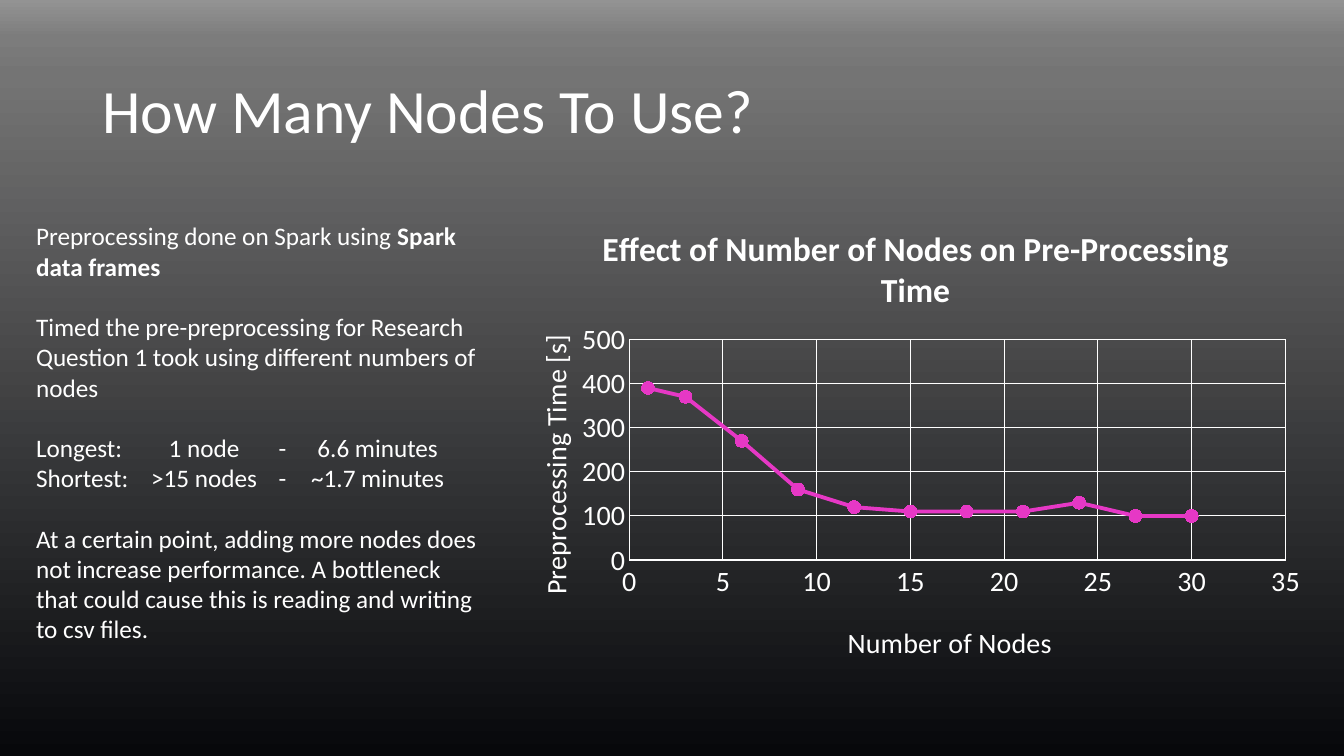
from copy import deepcopy
from lxml.etree import SubElement as Sub
from pptx import Presentation
from pptx.chart.data import XyChartData as Data
from pptx.dml.color import RGBColor as Rgb
from pptx.enum.chart import XL_CHART_TYPE as Kind, XL_MARKER_STYLE as Mark, XL_TICK_MARK as Tick
from pptx.enum.text import MSO_ANCHOR as Anchor
from pptx.oxml import parse_xml
from pptx.oxml.ns import nsdecls, qn
from pptx.util import Pt

FACE = "Calibri"
HUES = {"text": "FFFFFF", "line": "E638C5"}
FADE = [(0, "07080B"), (0.9, "747474"), (0.95, "7C7C7C"), (1, "939393")]
NODES = range(0, 31, 3)
TIMES = [390, 370, 270, 160, 120, 110, 110, 110, 130, 100, 100]
TABS = [120, 176, 244]
NOTES = [
    (0, [("Preprocessing done on Spark using ", False), ("Spark data frames", True)]),
    (21.6, [("Timed the pre-preprocessing for Research Question 1 took using different numbers of nodes", False)]),
    (21.6, [("Longest:\t1 node\t-\t6.6 minutes", False)]),
    (0, [("Shortest:\t>15 nodes\t-\t~1.7 minutes", False)]),
    (21.6, [("At a certain point, adding more nodes does not increase performance. "
             "A bottleneck that could cause this is reading and writing to csv files.", False)]),
]


def apply(item, **values):
    for name, value in values.items():
        setattr(item, name, value)


def style(font, size, bold=False):
    apply(font, name=FACE, size=Pt(size), bold=bold)
    font.color.rgb = Rgb.from_string(HUES["text"])


def stroke(line, hue, width):
    line.color.rgb = Rgb.from_string(HUES[hue])
    line.width = Pt(width)


def place(shape, box):
    apply(shape, **dict(zip(("left", "top", "width", "height"), map(Pt, box))))


def backdrop(slide):
    fill = slide.background.fill
    fill.gradient()
    fill.gradient_angle = 90
    stops = slide.element.find(".//" + qn("a:gsLst"))
    for _ in FADE[2:]:
        stops.append(deepcopy(stops[0]))
    for stop, (spot, hue) in zip(fill.gradient_stops, FADE):
        stop.position = spot
        stop.color.rgb = Rgb.from_string(hue)


def heading(slide, box):
    title = slide.shapes.title
    place(title, box)
    frame = title.text_frame
    frame.text = "How Many Nodes To Use?"
    frame.vertical_anchor = Anchor.MIDDLE
    para = frame.paragraphs[0]
    para.line_spacing = 0.9
    para.alignment = 1
    style(para.runs[0].font, 44)


def notes(slide, box):
    frame = slide.shapes.add_textbox(*map(Pt, box)).text_frame
    frame.word_wrap = True
    for num, (gap, parts) in enumerate(NOTES):
        para = frame.add_paragraph() if num else frame.paragraphs[0]
        para.space_before = Pt(gap)
        for words, bold in parts:
            run = para.add_run()
            run.text = words
            style(run.font, 18, bold)
        if "\t" in para.text:
            stops = Sub(para._p.get_or_add_pPr(), qn("a:tabLst"))
            for stop in TABS:
                Sub(stops, qn("a:tab"), pos=str(Pt(stop)), algn="ctr")


def layout(node, inner=False, **spots):
    old = node.find(qn("c:layout"))
    if old is not None:
        node.remove(old)
    part = '<c:layoutTarget val="inner"/>' if inner else ""
    part += '<c:xMode val="edge"/><c:yMode val="edge"/>'
    part += "".join(f'<c:{key} val="{val}"/>' for key, val in spots.items())
    new = parse_xml(f'<c:layout {nsdecls("c")}><c:manualLayout>{part}</c:manualLayout></c:layout>')
    text = node.find(qn("c:tx"))
    node.insert(0 if text is None else 1, new)


def label(title, words, size, bold, x, y):
    frame = title.text_frame
    frame.text = words
    style(frame.paragraphs[0].runs[0].font, size, bold)
    layout(title._element, x=x, y=y)


def axis(item, words, top, step, x, y):
    apply(item, minimum_scale=0, maximum_scale=top, major_unit=step,
          major_tick_mark=Tick.NONE, minor_tick_mark=Tick.NONE,
          has_major_gridlines=True, has_title=True)
    stroke(item.major_gridlines.format.line, "text", 0.75)
    style(item.tick_labels.font, 20)
    label(item.axis_title, words, 20, False, x, y)


def graph(slide, box):
    data = Data()
    series = data.add_series("Series 1")
    for node, time in zip(NODES, TIMES):
        series.add_data_point(max(node, 1), time)
    chart = slide.shapes.add_chart(Kind.XY_SCATTER_SMOOTH, *map(Pt, box), data).chart
    apply(chart, has_legend=False, has_title=True)
    style(chart.font, 20)
    label(chart.chart_title, "Effect of Number of Nodes on Pre-Processing Time", 24, True, 0.12, 0.05)
    chart.chart_title.include_in_layout = False
    axis(chart.category_axis, "Number of Nodes", 35, 5, 0.42, 0.88)
    axis(chart.value_axis, "Preprocessing Time [s]", 500, 100, 0.04, 0.28)
    stroke(chart.category_axis.format.line, "text", 1)
    chart.value_axis.format.line.fill.background()
    plot = chart.plots[0]
    plot.vary_by_categories = False
    layout(chart._chartSpace.chart.plotArea, True, x=0.16, y=0.3, w=0.8, h=0.46)
    curve = plot.series[0]
    curve.smooth = True
    stroke(curve.format.line, "line", 2.75)
    dot = curve.marker
    apply(dot, style=Mark.CIRCLE, size=9)
    dot.format.fill.solid()
    dot.format.fill.fore_color.rgb = Rgb.from_string(HUES["line"])
    stroke(dot.format.line, "line", 0.75)


def main():
    deck = Presentation()
    apply(deck, slide_width=Pt(960), slide_height=Pt(540))
    slide = deck.slides.add_slide(deck.slide_layouts[5])
    backdrop(slide)
    heading(slide, (66, 28.8, 828, 104.4))
    graph(slide, (355.7, 139.7, 586, 342.7))
    notes(slide, (18.7, 154.1, 329, 312.5))
    deck.save("out.pptx")


if __name__ == "__main__":
    main()
